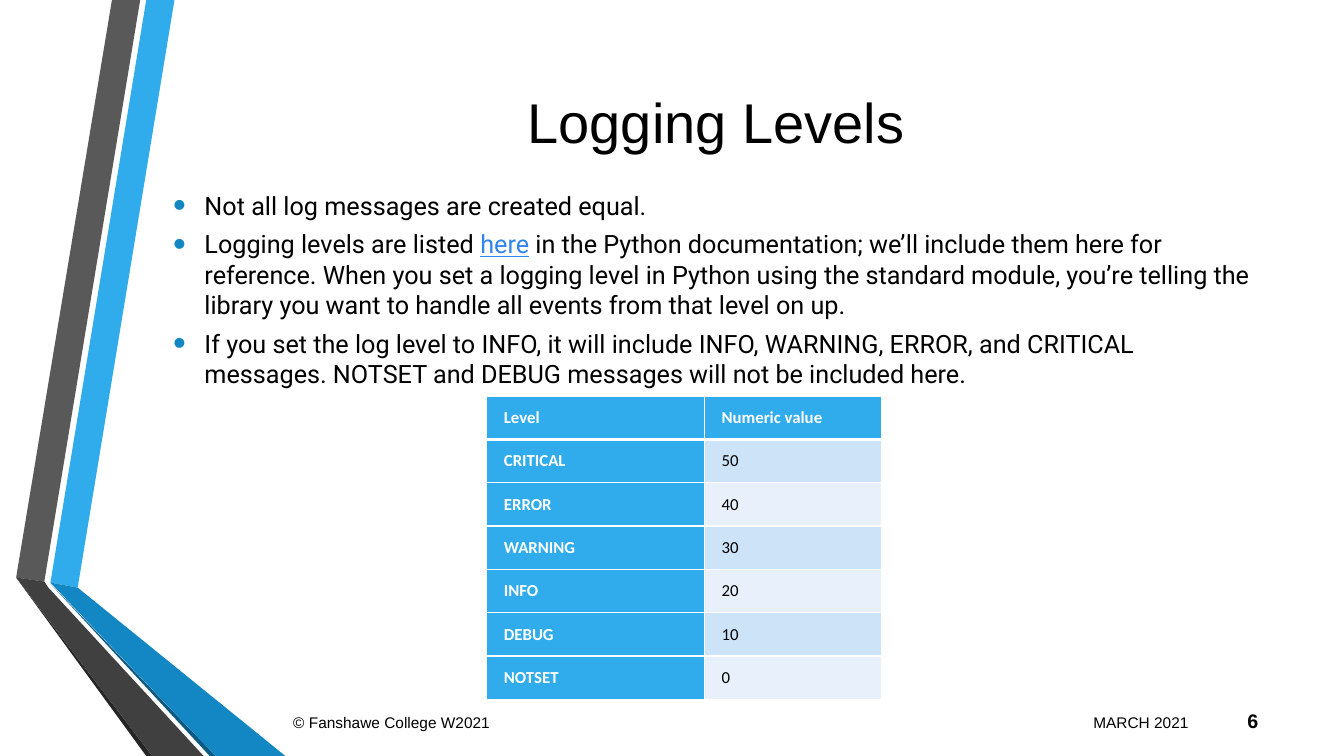
from lxml.etree import SubElement
from pptx import Presentation
from pptx.dml.color import RGBColor
from pptx.enum.text import MSO_ANCHOR, PP_ALIGN
from pptx.oxml.ns import qn
from pptx.util import Inches, Pt

THEME = {
    "black": "000000", "white": "FFFFFF", "link": "3085ED",
    "blue": "30ACEC", "deep_blue": "1287C3", "blue_shadow": "0C5A82",
    "grey": "595959", "deep_grey": "404040", "grey_shadow": "262626",
    "bands": ("CDE3F8", "E8F1FB"),
    "title": 40, "body": 18, "number": 14, "table": 12, "footer": 11,
    "heading_font": "Arial", "body_font": "Roboto", "table_font": "Calibri",
}

presentation = Presentation()
presentation.slide_width = Inches(13.33)
presentation.slide_height = Inches(7.5)
slide = presentation.slides.add_slide(presentation.slide_layouts[6])

# The grid has 100 columns and 100 rows
COLUMN = presentation.slide_width / 100
ROW = presentation.slide_height / 100


def place(*grid):
    """Turn grid columns and rows, given alternately, into slide lengths."""
    return [round(value * (ROW if index % 2 else COLUMN)) for index, value in enumerate(grid)]


def write_text(frame, *paragraphs, size, font=THEME["heading_font"], color=THEME["black"],
               bold=False, align=PP_ALIGN.LEFT, anchor=MSO_ANCHOR.MIDDLE, bullet=None):
    """Fill a text frame; a paragraph is a list of (text, is_link) runs."""
    frame.word_wrap = True
    frame.vertical_anchor = anchor
    for index, runs in enumerate(paragraphs):
        paragraph = frame.add_paragraph() if index else frame.paragraphs[0]
        paragraph.alignment = align
        if bullet:
            properties = paragraph._p.get_or_add_pPr()
            properties.set("marL", str(Inches(0.31)))
            properties.set("indent", str(-Inches(0.31)))
            bullet_color = SubElement(properties, qn("a:buClr"))
            SubElement(bullet_color, qn("a:srgbClr"), val=bullet)
            SubElement(properties, qn("a:buSzPct"), val="145000")
            SubElement(properties, qn("a:buFont"), typeface="Arial")
            SubElement(properties, qn("a:buChar"), char="•")
            paragraph.space_after = Pt(6)
        for text, is_link in runs:
            run = paragraph.add_run()
            run.text = text
            run.font.size = Pt(size)
            run.font.name = font
            run.font.bold = bold
            run.font.underline = is_link
            run.font.color.rgb = RGBColor.from_string(THEME["link"] if is_link else color)


# Folded ribbons along the left edge
ribbons = [
    ("blue", [(3.75, 77.07), (5.78, 77.73), (12.98, 0), (10.88, 0)]),
    ("grey", [(10.43, 0), (8.33, 0), (1.2, 76.4), (3.3, 76.93)]),
    ("grey_shadow", [(1.2, 76.4), (10.88, 100), (11.33, 100)]),
    ("blue_shadow", [(3.75, 77.2), (15.6, 100), (16.05, 100)]),
    ("deep_blue", [(3.75, 77.07), (16.05, 100), (21.23, 100), (5.78, 77.73)]),
    ("deep_grey", [(1.2, 76.4), (11.33, 100), (15.15, 100), (3.6, 77.73), (3.3, 76.93)]),
]
for color, corners in ribbons:
    start, *others = [place(*corner) for corner in corners]
    builder = slide.shapes.build_freeform(*start)
    builder.add_line_segments(others, close=True)
    ribbon = builder.convert_to_shape()
    ribbon.shadow.inherit = False
    ribbon.fill.solid()
    ribbon.fill.fore_color.rgb = RGBColor.from_string(THEME[color])
    ribbon.line.fill.background()

# Title and footer line
labels = [
    ("Logging Levels", (12.15, 10, 82.2, 12.13),
     {"size": THEME["title"], "align": PP_ALIGN.CENTER}),
    ("MARCH 2021", (79.8, 92.93, 9.38, 5.33),
     {"size": THEME["footer"], "align": PP_ALIGN.RIGHT}),
    ("© Fanshawe College W2021", (21.08, 92.93, 58.13, 5.33), {"size": THEME["footer"]}),
    ("6", (89.85, 92.67, 4.5, 5.33),
     {"size": THEME["number"], "align": PP_ALIGN.RIGHT, "bold": True}),
]
for text, grid, text_format in labels:
    label = slide.shapes.add_textbox(*place(*grid))
    write_text(label.text_frame, [(text, False)], **text_format)

body = slide.shapes.add_textbox(*place(12.15, 24.5, 82.2, 27.4))
write_text(
    body.text_frame,
    [("Not all log messages are created equal.", False)],
    [("Logging levels are listed ", False), ("here", True),
     (" in the Python documentation; we’ll include them here for reference. When you set "
      "a logging level in Python using the standard module, you’re telling the library "
      "you want to handle all events from that level on up.", False)],
    [("If you set the log level to INFO, it will include INFO, WARNING, ERROR, and CRITICAL "
      "messages. NOTSET and DEBUG messages will not be included here.", False)],
    size=THEME["body"], font=THEME["body_font"], anchor=MSO_ANCHOR.TOP,
    bullet=THEME["deep_blue"])

# Table of levels
levels = [("Level", "Numeric value"), ("CRITICAL", "50"), ("ERROR", "40"), ("WARNING", "30"),
          ("INFO", "20"), ("DEBUG", "10"), ("NOTSET", "0")]
column_widths = (16.2, 13.2)
row_height = 5.73
table = slide.shapes.add_table(
    len(levels), 2,
    *place(36.22, 52.4, sum(column_widths), row_height * len(levels))).table
for column, width in zip(table.columns, column_widths):
    column.width = round(width * COLUMN)
for row_index, level in enumerate(levels):
    table.rows[row_index].height = round(row_height * ROW)
    for column_index, text in enumerate(level):
        cell = table.cell(row_index, column_index)
        cell.margin_left = cell.margin_right = Inches(0.17)
        cell.margin_top = cell.margin_bottom = Inches(0.08)
        cell.vertical_anchor = MSO_ANCHOR.MIDDLE
        for side in "LRTB":
            touches_header_rule = (side, row_index) in (("B", 0), ("T", 1))
            border = SubElement(cell._tc.get_or_add_tcPr(), qn(f"a:ln{side}"),
                                w=str(Pt(3 if touches_header_rule else 1)))
            border_fill = SubElement(border, qn("a:solidFill"))
            SubElement(border_fill, qn("a:srgbClr"), val=THEME["white"])
        is_heading = row_index == 0 or column_index == 0
        fill = THEME["blue"] if is_heading else THEME["bands"][(row_index - 1) % 2]
        cell.fill.solid()
        cell.fill.fore_color.rgb = RGBColor.from_string(fill)
        write_text(cell.text_frame, [(text, False)], size=THEME["table"],
                   font=THEME["table_font"], bold=is_heading,
                   color=THEME["white"] if is_heading else THEME["black"])

presentation.save("out.pptx")
